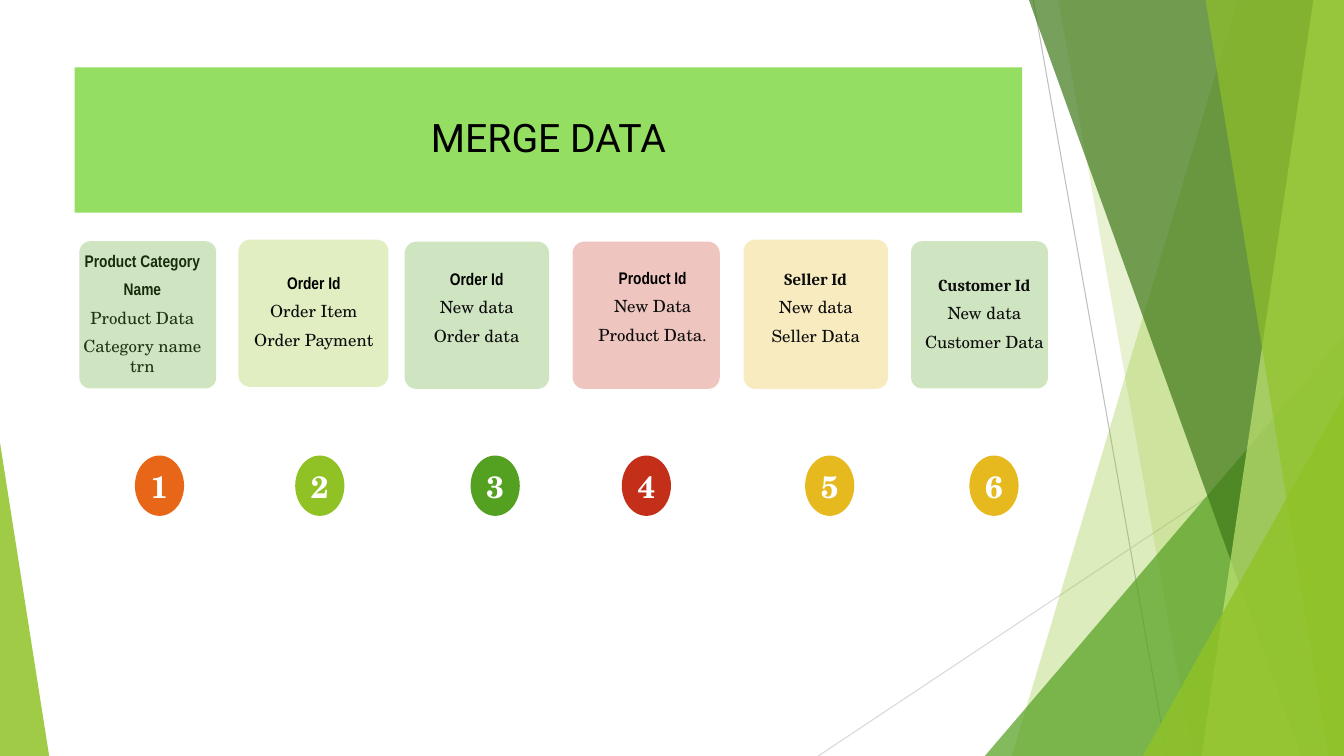
from lxml.etree import SubElement
from pptx import Presentation
from pptx.dml.color import RGBColor
from pptx.enum.shapes import MSO_CONNECTOR, MSO_SHAPE
from pptx.enum.text import MSO_ANCHOR, PP_ALIGN
from pptx.oxml.ns import qn
from pptx.util import Cm, Pt

HUES = {
    "lime": "90C226", "green": "54A021", "dark": "3F7819", "pale": "C0E474",
    "red": "C42F1A", "gold": "E6B91E", "orange": "E76618", "title": "94DE61",
    "black": "000000", "ink": "0D0D0D", "white": "FFFFFF",
    "rule": "BFBFBF", "thin": "D9D9D9",
}
WIDE, HIGH = 33.87, 19.05
SERIF = "TeX Gyre Schola"
HEAD = {"name": "Arial Narrow", "size": Pt(12), "bold": True}
SEAL = {"name": "Cambria", "size": Pt(12), "bold": True}
BODY = {"name": SERIF, "size": Pt(12), "bold": False}
DIGIT = {"name": SERIF, "size": Pt(22), "bold": True}
TITLE = {"name": "Roboto", "size": Pt(28), "bold": False}

# Card box, card hue, dot hue, dot offset, text box offset and size, head font, lines
CARDS = [
    ((2, 6.08, 3.45, 3.71), "green", "orange", 1.4, (0, 0.47, 3.18, 2.69), HEAD, "black",
     ["Product Category", "Name", "Product Data", "Category name trn"]),
    ((6.01, 6.04, 3.78, 3.71), "lime", "lime", 1.43, (0.21, 0.82, 3.38, 1.96), HEAD, "black",
     ["Order Id", "Order Item", "Order Payment"]),
    ((10.2, 6.09, 3.64, 3.71), "green", "green", 1.66, (-0.32, 0.67, 4.27, 1.96), HEAD, "black",
     ["Order Id", "New data", "Order data"]),
    ((14.43, 6.09, 3.71, 3.71), "red", "red", 1.24, (0.33, 0.64, 3.38, 1.96), HEAD, "black",
     ["Product Id", "New Data", "Product Data."]),
    ((18.74, 6.04, 3.64, 3.76), "gold", "gold", 1.55, (0.23, 0.72, 3.18, 1.96), SEAL, "ink",
     ["Seller Id", "New data", "Seller Data"]),
    ((22.96, 6.08, 3.45, 3.71), "green", "gold", 1.47, (0.26, 0.83, 3.18, 1.96), SEAL, "ink",
     ["Customer Id", "New data", "Customer Data"]),
]


def rgb(hue):
    return RGBColor.from_string(HUES[hue])


def apply(item, form):
    for key, value in form.items():
        setattr(item, key, value)


def paint(shape, hue, alpha=100):
    shape.shadow.inherit = False
    shape.line.fill.background()
    shape.fill.solid()
    shape.fill.fore_color.rgb = rgb(hue)
    if alpha < 100:
        color = shape.fill._xPr.find(qn("a:solidFill"))[0]
        SubElement(color, qn("a:alpha"), val=str(alpha * 1000))


def preset(slide, kind, box, hue, alpha=100, bend=None):
    shape = slide.shapes.add_shape(kind, *map(Cm, box))
    if bend is not None:
        shape.adjustments[0] = bend
    paint(shape, hue, alpha)
    return shape


def frame(shape, inset=0):
    text = shape.text_frame
    sides = ("left", "top", "right", "bottom")
    apply(text, {f"margin_{side}": Cm(inset) for side in sides})
    apply(text, {"word_wrap": True, "vertical_anchor": MSO_ANCHOR.MIDDLE})
    return text


def write(para, words, font, hue, **form):
    apply(para, {"alignment": PP_ALIGN.CENTER, **form})
    run = para.add_run()
    run.text = words
    apply(run.font, font)
    run.font.color.rgb = rgb(hue)


def band(slide, top, base, hue, alpha):
    """Four-sided facet from the given top and base points to the right edge."""
    pen = slide.shapes.build_freeform(Cm(top), 0)
    ends = [(WIDE, 0), (WIDE, HIGH), (base, HIGH)]
    pen.add_line_segments([(Cm(x), Cm(y)) for x, y in ends], close=True)
    paint(pen.convert_to_shape(), hue, alpha)


def wedge(slide, left, top, right, hue, alpha, bend):
    box = (left, top, right - left, HIGH - top)
    preset(slide, MSO_SHAPE.ISOSCELES_TRIANGLE, box, hue, alpha, bend)


def backdrop(slide):
    # Thin lines
    for ends, hue in [((26.04, 0, 29.41, HIGH), "rule"),
                      ((WIDE, 10.24, 20.62, HIGH), "thin")]:
        line = slide.shapes.add_connector(MSO_CONNECTOR.STRAIGHT, *map(Cm, ends))
        line.line.color.rgb = rgb(hue)
        line.line.width = Pt(0.75)
        SubElement(line._element.spPr, qn("a:effectLst"))
    # Facets, back to front
    band(slide, 31.19, 25.5, "lime", 30)
    band(slide, 26.67, 30.05, "lime", 20)
    wedge(slide, 24.82, 8.46, WIDE, "green", 72, 1)
    band(slide, 25.93, 32.79, "dark", 70)
    band(slide, 33.1, 30.28, "pale", 70)
    band(slide, 30.38, 33.48, "lime", 65)
    wedge(slide, 28.8, 9.98, WIDE, "lime", 80, 1)
    wedge(slide, 0, 11.15, 1.24, "lime", 85, 0)


def header(slide, box):
    title = slide.shapes.title
    apply(title, dict(zip(("left", "top", "width", "height"), map(Cm, box))))
    title.fill.solid()
    title.fill.fore_color.rgb = rgb("title")
    text = frame(title, 0.51)
    write(text.paragraphs[0], "MERGE DATA", TITLE, "black", line_spacing=0.9)


def label(slide, box, lines, font, hue):
    text = frame(slide.shapes.add_textbox(*map(Cm, box)))
    heads = len(lines) - 2
    for i, words in enumerate(lines):
        para = text.add_paragraph() if i else text.paragraphs[0]
        look = (font, hue) if i < heads else (BODY, "ink")
        write(para, words, *look, space_before=Pt(6))


def card(slide, num, box, hue, dot, shift, area, font, ink, lines):
    left, top = box[:2]
    dx, dy, *size = area
    spot = (left + dx, top + dy, *size)
    # The first card lies over its text as a tint
    if num == 1:
        label(slide, spot, lines, font, ink)
    preset(slide, MSO_SHAPE.ROUNDED_RECTANGLE, box, hue, 28, 0.08)
    if num > 1:
        label(slide, spot, lines, font, ink)
    # Numbered dot
    disc = preset(slide, MSO_SHAPE.OVAL, (left + shift, 11.48, 1.24, 1.52), dot)
    write(frame(disc).paragraphs[0], str(num), DIGIT, "white")


def main():
    deck = Presentation()
    apply(deck, {"slide_width": Cm(WIDE), "slide_height": Cm(HIGH)})
    slide = deck.slides.add_slide(deck.slide_layouts[5])
    backdrop(slide)
    header(slide, (1.88, 1.7, 23.88, 3.66))
    for num, parts in enumerate(CARDS, 1):
        card(slide, num, *parts)
    deck.save("out.pptx")


if __name__ == "__main__":
    main()
